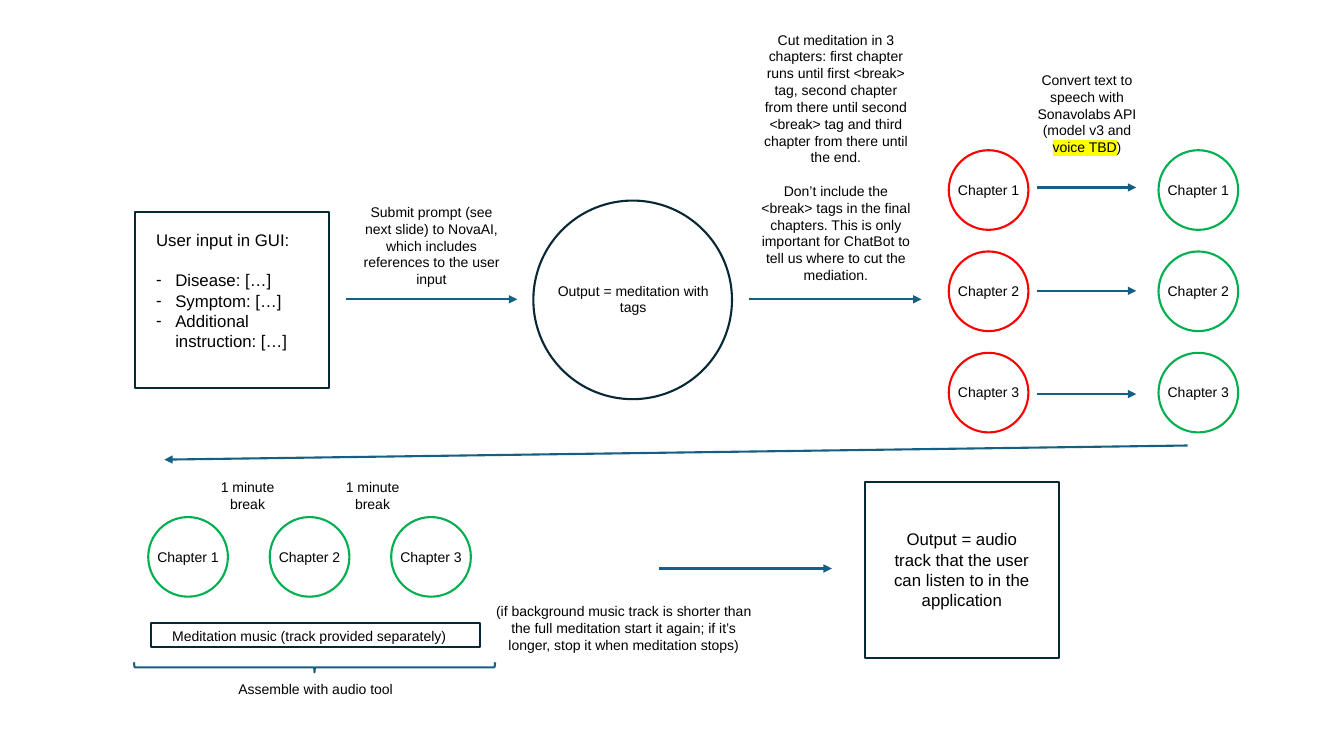
from lxml import etree
from pptx import Presentation
from pptx.dml.color import RGBColor
from pptx.enum.shapes import MSO_CONNECTOR, MSO_SHAPE
from pptx.enum.text import MSO_AUTO_SIZE, PP_ALIGN
from pptx.oxml.ns import qn
from pptx.util import Inches, Pt

RECTANGLE, ELLIPSE, BRACE = MSO_SHAPE.RECTANGLE, MSO_SHAPE.OVAL, MSO_SHAPE.LEFT_BRACE
STRAIGHT = MSO_CONNECTOR.STRAIGHT
CENTER, LEFT = PP_ALIGN.CENTER, PP_ALIGN.LEFT
FIT_SHAPE = MSO_AUTO_SIZE.SHAPE_TO_FIT_TEXT

NAVY = RGBColor(0x08, 0x28, 0x36)
TEAL = RGBColor(0x15, 0x60, 0x82)
RED = RGBColor(0xFF, 0x00, 0x00)
GREEN = RGBColor(0x00, 0xB0, 0x50)
BLACK = RGBColor(0x00, 0x00, 0x00)
YELLOW = RGBColor(0xFF, 0xFF, 0x00)

CIRCLE = 0.79
CHAPTERS = ("Chapter 1", "Chapter 2", "Chapter 3")


def add_outline(page, kind, left, top, width, height, color=NAVY):
    shape = page.shapes.add_shape(
        kind, Inches(left), Inches(top), Inches(width), Inches(height))
    shape.shadow.inherit = False
    shape.fill.background()
    shape.line.color.rgb = color
    shape.line.width = Pt(1.5)
    return shape


def format_span(span, size):
    span.font.name = "Arial"
    span.font.size = Pt(size)
    span.font.color.rgb = BLACK


def add_text(page, text, left, top, width, height, size=10, align=CENTER):
    """Add a wrapped text box, one paragraph per line of text; return its paragraphs."""
    box = page.shapes.add_textbox(
        Inches(left), Inches(top), Inches(width), Inches(height))
    frame = box.text_frame
    frame.word_wrap = True
    frame.auto_size = FIT_SHAPE
    frame.text = text
    for para in frame.paragraphs:
        para.alignment = align
        for span in para.runs:
            format_span(span, size)
    return frame.paragraphs


def add_arrow(page, x1, y1, x2, y2):
    arrow = page.shapes.add_connector(
        STRAIGHT, Inches(x1), Inches(y1), Inches(x2), Inches(y2))
    arrow.line.color.rgb = TEAL
    arrow.line.width = Pt(1.5)
    etree.SubElement(arrow.line._get_or_add_ln(), qn("a:tailEnd"), type="triangle")
    etree.SubElement(arrow._element.spPr, qn("a:effectLst"))


def add_dash(para):
    """Give the paragraph a hanging dash bullet."""
    properties = para._p.get_or_add_pPr()
    properties.set("marL", str(Inches(0.19)))
    properties.set("indent", str(-Inches(0.19)))
    etree.SubElement(properties, qn("a:buFont"), typeface="Arial")
    etree.SubElement(properties, qn("a:buChar"), char="-")


def highlight(span, color):
    mark = etree.Element(qn("a:highlight"))
    etree.SubElement(mark, qn("a:srgbClr"), val=str(color))
    span._r.rPr.find(qn("a:solidFill")).addnext(mark)


def add_chapter(page, name, left, top, color):
    add_outline(page, ELLIPSE, left, top, CIRCLE, CIRCLE, color)
    add_text(page, name, left - 0.09, top + 0.26, 0.97, 0.27)


def add_user_input(page, left, top):
    add_outline(page, RECTANGLE, left, top, 1.92, 1.75)
    paras = add_text(
        page,
        "User input in GUI:\nDisease: […]\nSymptom: […]\nAdditional instruction: […]",
        left + 0.11, top + 0.13, 1.7, 1.31, 12, LEFT)
    paras[1].space_before = Pt(14.4)
    for para in paras[1:]:
        add_dash(para)


def add_meditation(page, left, top):
    """Add the prompt step, the tagged meditation and the cutting step."""
    add_text(page, "Submit prompt (see next slide) to NovaAI, which includes "
             "references to the user input", left, top, 1.7, 0.94)
    add_arrow(page, left, top + 1, left + 1.7, top + 1)
    add_outline(page, ELLIPSE, left + 1.86, top + 0.02, 1.97, 1.97)
    add_text(page, "Output = meditation with tags", left + 2, top + 0.78, 1.7, 0.44)
    paras = add_text(
        page,
        "Cut meditation in 3 chapters: first chapter runs until first <break> tag, "
        "second chapter from there until second <break> tag and third chapter from "
        "there until the end.\n"
        "Don’t include the <break> tags in the final chapters. This is only important "
        "for ChatBot to tell us where to cut the mediation.",
        left + 4.01, top - 1.71, 1.7, 2.63)
    paras[1].space_before = Pt(12)
    add_arrow(page, left + 4, top + 1, left + 5.71, top + 1)


def add_speech_conversion(page, left, top):
    for row, name in enumerate(CHAPTERS):
        circle_top = top + 1.005 * row
        arrow_y = top + 0.37 + 1.025 * row
        add_chapter(page, name, left, circle_top, RED)
        add_chapter(page, name, left + 2.08, circle_top, GREEN)
        add_arrow(page, left + 0.88, arrow_y, left + 1.86, arrow_y)
    paras = add_text(
        page, "Convert text to speech with Sonavolabs API\n(model v3 and ",
        left + 0.78, top - 0.83, 1.18, 0.94)
    for text in ("voice TBD", ")"):
        span = paras[1].add_run()
        span.text = text
        format_span(span, 10)
    highlight(paras[1].runs[1], YELLOW)


def add_assembly(page, left, top):
    """Add the chapters with breaks, the music track and the brace below them."""
    for column, name in enumerate(CHAPTERS):
        add_chapter(page, name, left + 0.13 + 1.205 * column, top + 0.43, GREEN)
    for column in range(2):
        add_text(page, "1 minute break", left + 0.63 + 1.24 * column, top, 0.97, 0.44)
    add_outline(page, RECTANGLE, left + 0.16, top + 1.48, 3.26, 0.24)
    add_text(page, "Meditation music (track provided separately)",
             left + 0.16, top + 1.48, 3.13, 0.27)
    brace = add_outline(page, BRACE, left + 1.73, top + 0.13, 0.1, 3.58, TEAL)
    brace.adjustments[0] = 0.083
    brace.rotation = 270
    add_text(page, "Assemble with audio tool", left + 0.89, top + 2, 1.8, 0.27)
    add_text(page, "(if background music track is shorter than the full meditation "
             "start it again; if it’s longer, stop it when meditation stops)",
             left + 3.41, top + 1.23, 2.87, 0.61)


def add_audio_output(page, left, top):
    add_outline(page, RECTANGLE, left, top, 1.92, 1.75)
    add_text(page, "Output = audio track that the user can listen to in the application",
             left + 0.11, top + 0.42, 1.7, 0.91, 12)
    add_arrow(page, left - 2.04, top + 0.86, left - 0.33, top + 0.86)


def main():
    deck = Presentation()
    deck.slide_width, deck.slide_height = Inches(13.33), Inches(7.5)
    page = deck.slides.add_slide(deck.slide_layouts[6])
    add_user_input(page, 1.34, 2.1)
    add_meditation(page, 3.43, 1.97)
    add_speech_conversion(page, 9.41, 1.49)
    add_arrow(page, 11.78, 4.42, 1.63, 4.56)
    add_assembly(page, 1.34, 4.7)
    add_audio_output(page, 8.58, 4.78)
    deck.save("out.pptx")


if __name__ == "__main__":
    main()
